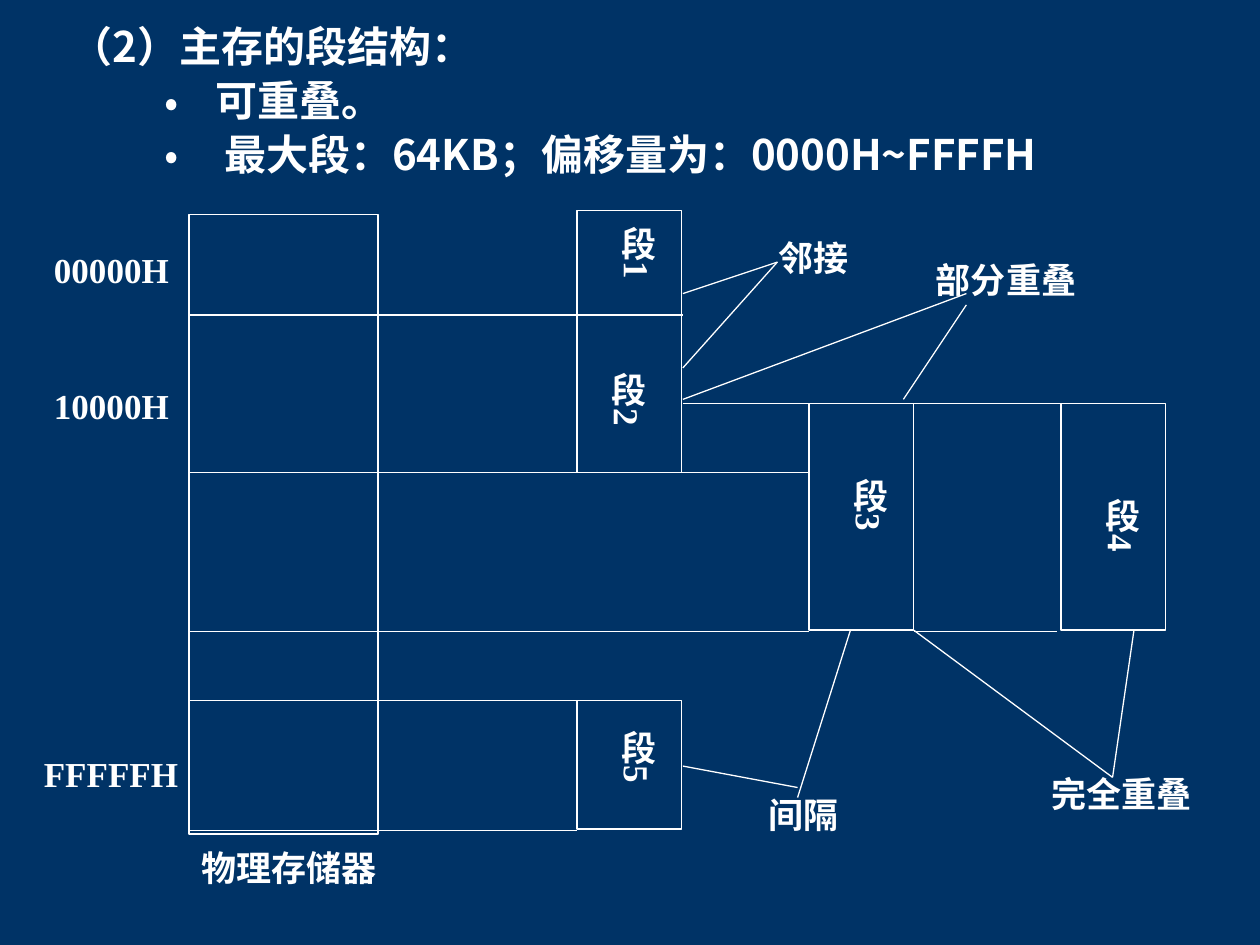
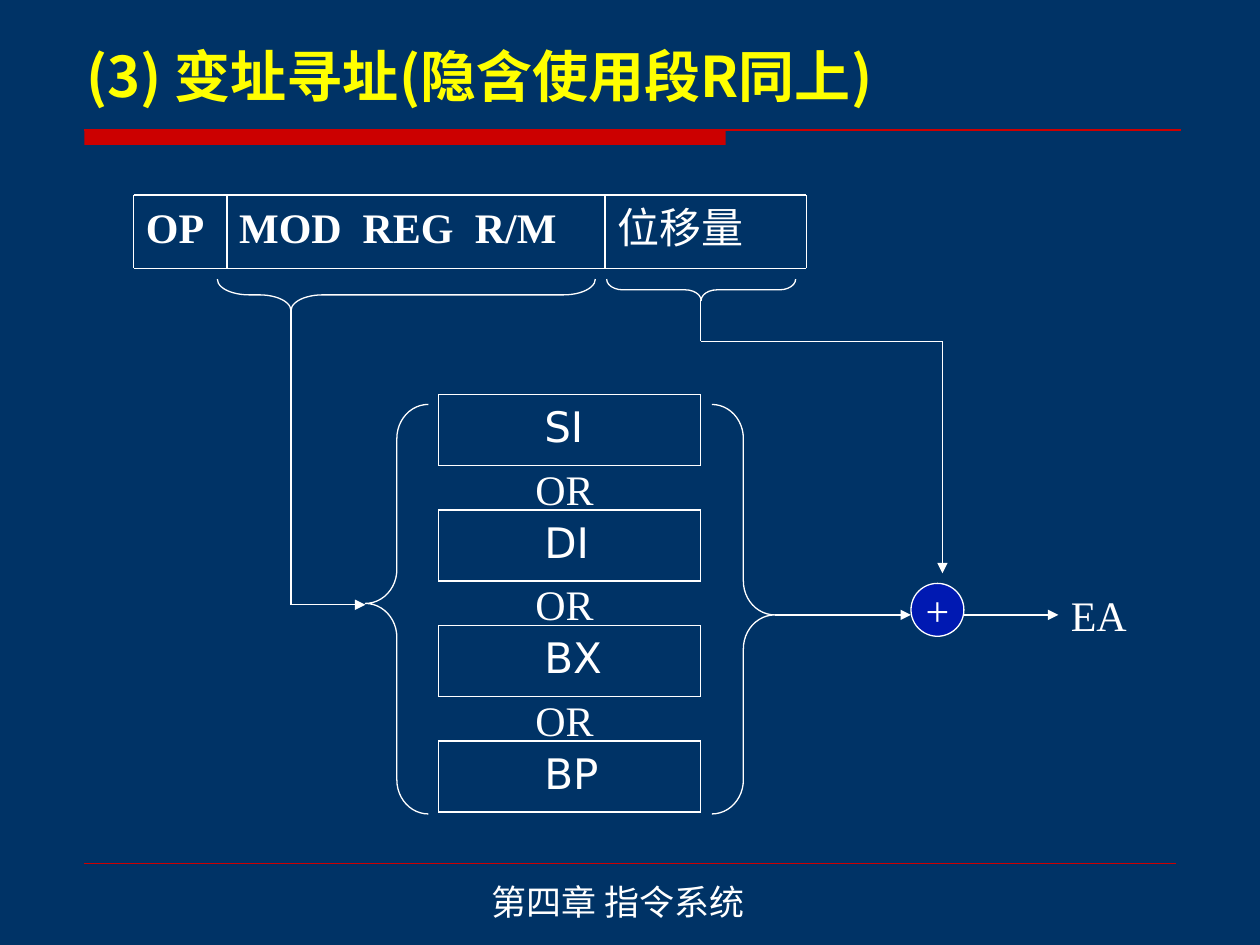
import lxml.etree
import pptx
import pptx.dml.color
import pptx.enum.shapes
import pptx.enum.text
import pptx.oxml.ns
import pptx.util

Inches, Pt = pptx.util.Inches, pptx.util.Pt
SHAPE = pptx.enum.shapes.MSO_SHAPE
ALIGN = pptx.enum.text.PP_ALIGN
ANCHOR = pptx.enum.text.MSO_ANCHOR
qn = pptx.oxml.ns.qn
colour = pptx.dml.color.RGBColor.from_string

NAVY, WHITE, YELLOW, RED, BLUE = "003366", "FFFFFF", "FFFF00", "CC0000", "0000FF"
SANS, SERIF, LATIN_SANS = "Noto Sans CJK JP", "Times New Roman", "DejaVu Sans"


def add_box(slide, at, text="", size=20, face=SERIF, bold=False, ink=WHITE, kind=None,
            wrap=True, align=ALIGN.LEFT, anchor=ANCHOR.TOP, inset=0.1):
    """Add a text box, or an unfilled outlined shape if kind is given; one paragraph per line."""
    at = [Inches(length) for length in at]
    if kind is None:
        box = slide.shapes.add_textbox(*at)
    else:
        box = slide.shapes.add_shape(kind, *at)
        box.shadow.inherit = False
        box.fill.background()
        box.line.color.rgb = colour(WHITE)
        box.line.width = Pt(0.75)
    if not text:
        return box
    frame = box.text_frame
    frame.word_wrap = wrap
    frame.vertical_anchor = anchor
    frame.margin_left, frame.margin_right = Inches(inset), Inches(0.1)
    frame.margin_top = frame.margin_bottom = Inches(0.05)
    for number, words in enumerate(text.split("\n")):
        paragraph = frame.add_paragraph() if number else frame.paragraphs[0]
        paragraph.alignment = align
        run = paragraph.add_run()
        run.text = words
        run.font.size = Pt(size)
        run.font.name = face
        run.font.bold = bold
        run.font.color.rgb = colour(ink)
        lxml.etree.SubElement(run.font._element, qn("a:ea"), typeface=SANS)
    return box


def add_line(slide, x1, y1, x2, y2, ink=WHITE, weight=0.75, arrow=False):
    line = slide.shapes.add_connector(
        pptx.enum.shapes.MSO_CONNECTOR.STRAIGHT,
        Inches(x1), Inches(y1), Inches(x2), Inches(y2))
    line.line.color.rgb = colour(ink)
    line.line.width = Pt(weight)
    if arrow:
        lxml.etree.SubElement(line.line._get_or_add_ln(), qn("a:tailEnd"), type="triangle")
    lxml.etree.SubElement(line._element.spPr, qn("a:effectLst"))


prs = pptx.Presentation()
prs.slide_width, prs.slide_height = Inches(10), Inches(7.5)
backdrop = prs.slide_master.background.fill
backdrop.solid()
backdrop.fore_color.rgb = colour(NAVY)
blank = prs.slide_layouts[6]

# Slide 1: segments of main memory
memory = prs.slides.add_slide(blank)
heading = add_box(
    memory, (-0.04, 0.21, 9.21, 1.25),
    "（2）主存的段结构：\n可重叠。\n最大段：64KB；偏移量为：0000H~FFFFH",
    size=24, face=SANS, bold=True)
bullet_left = 1.25
for number, (paragraph, left) in enumerate(zip(heading.text_frame.paragraphs, (0.5, 1.65, 1.72))):
    paragraph.line_spacing = 0.75
    properties = paragraph._p.get_or_add_pPr()
    properties.set("marL", str(Inches(left)))
    if number:
        paragraph.space_before = Pt(9)
        properties.set("indent", str(Inches(bullet_left - left)))
        lxml.etree.SubElement(properties, qn("a:buFont"), typeface=SANS)
        lxml.etree.SubElement(properties, qn("a:buChar"), char="•")

add_box(memory, (1.5, 1.7, 1.5, 4.92), kind=SHAPE.RECTANGLE)
for segment_frame in ((4.58, 1.67, 0.83, 2.08), (6.42, 3.2, 0.83, 1.8),
                      (8.42, 3.2, 0.83, 1.8), (4.58, 5.56, 0.83, 1.02)):
    add_box(memory, segment_frame, kind=SHAPE.RECTANGLE)

for y, start, end in ((2.5, 1.5, 5.42), (3.75, 1.5, 4.58), (5.56, 1.5, 4.58),
                      (6.59, 1.5, 4.58), (5.01, 1.5, 6.42), (5.01, 7.25, 8.39),
                      (3.2, 7.2, 8.42), (3.2, 5.42, 6.42), (3.75, 5.39, 6.42)):
    add_line(memory, start, y, end, y)

for label, left, top, width in (
        ("00000H", 0.33, 1.92, 1.28), ("10000H", 0.33, 3, 1.17), ("FFFFFH", 0.25, 5.92, 1.36),
        ("物理存储器", 1.5, 6.67, 1.67), ("邻接", 6.08, 1.83, 0.83), ("部分重叠", 7.33, 2, 1.33),
        ("间隔", 6, 6.25, 0.83), ("完全重叠", 8.25, 6.08, 1.33)):
    add_box(memory, (left, top, width, 0.44), label, bold=True)

for pointer in ((6.17, 2.08, 5.42, 2.33), (6.17, 2.08, 5.42, 2.92),
                (7.67, 2.33, 5.42, 3.17), (7.67, 2.42, 7.17, 3.17),
                (6.75, 5, 6.33, 6.33), (6.33, 6.25, 5.42, 6.08),
                (7.25, 5, 8.83, 6.17), (8.83, 6.17, 9, 5)):
    add_line(memory, *pointer)

segment_places = ((4.75, 1.67), (4.67, 2.83), (6.59, 3.67), (8.59, 3.83), (4.75, 5.67))
for number, (left, top) in enumerate(segment_places, start=1):
    segment = add_box(memory, (left, top, 0.53, 0.75), f"段{number}", bold=True).text_frame
    segment.margin_left = segment.margin_right = Inches(0.05)
    segment.margin_top, segment.margin_bottom = Inches(0.13), Inches(0.07)
    segment._txBody.bodyPr.set("vert", "eaVert")

# Slide 2: indexed addressing
indexed = prs.slides.add_slide(blank)
title_band = add_box(indexed, (0.67, 1.03, 5.09, 0.12), kind=SHAPE.RECTANGLE)
title_band.fill.solid()
title_band.fill.fore_color.rgb = colour(RED)
title_band.line.fill.background()
add_line(indexed, 0.67, 1.03, 9.37, 1.03, ink=RED, weight=1.25)
add_line(indexed, 0.67, 6.85, 9.33, 6.85, ink=RED, weight=0.25)
add_box(indexed, (3.77, 6.94, 2.27, 0.44), "第四章 指令系统", face=SANS,
        wrap=False, align=ALIGN.CENTER)
add_box(indexed, (0.59, 0.28, 8.67, 0.75), "(3) 变址寻址(隐含使用段R同上)",
        size=32, face=SANS, bold=True, ink=YELLOW)

# Instruction fields
row_top, row_bottom = 1.55, 2.13
field_edges = (1.06, 1.8, 4.8, 6.4)
for field, left, right, face in zip(("OP", "MOD\tREG\tR/M", "位移量"), field_edges,
                                    field_edges[1:], (SERIF, SERIF, LATIN_SANS)):
    cell = add_box(indexed, (left, row_top, right - left, row_bottom - row_top), field,
                   size=24, face=face, bold=face == SERIF)
    if "\t" in field:
        properties = cell.text_frame.paragraphs[0]._p.get_or_add_pPr()
        tabs = lxml.etree.SubElement(properties, qn("a:tabLst"))
        for stop in (0.98, 1.87):
            lxml.etree.SubElement(tabs, qn("a:tab"), pos=str(Inches(stop)), algn="l")
for y in (row_top, row_bottom):
    add_line(indexed, field_edges[0], y, field_edges[-1], y, weight=1)
for x in field_edges:
    add_line(indexed, x, row_top, x, row_bottom, weight=1)

# Index registers
register_left, register_right, register_height = 3.48, 5.56, 0.565
register_top, register_pitch = 3.13, 0.917
for number, register in enumerate(("SI", "DI", "BX", "BP")):
    top = register_top + number * register_pitch
    bottom = top + register_height
    if number:
        add_box(indexed, (4.15, top - 0.42, 0.66, 0.5), "OR", size=24, wrap=False)
    add_box(indexed, (register_left, top, register_right - register_left, register_height),
            register, size=24, face=LATIN_SANS, inset=0.84)
    for y in (top, bottom):
        add_line(indexed, register_left, y, register_right, y, weight=1)
    for x in (register_left, register_right):
        add_line(indexed, x, top, x, bottom, weight=1)

# Braces: place, curl, position of the point, rotation
for kind, place, curl, point, turn in (
        (SHAPE.RIGHT_BRACE, (5.65, 3.21, 0.5, 3.25), 0.54, 0.514, 0),
        (SHAPE.LEFT_BRACE, (2.9, 3.21, 0.5, 3.25), 0.54, 0.486, 0),
        (SHAPE.LEFT_BRACE, (3.1, 0.84, 0.25, 3), 1, 0.195, 270),
        (SHAPE.LEFT_BRACE, (5.48, 1.55, 0.17, 1.5), 0.75, 0.5, 270)):
    brace = add_box(indexed, place, kind=kind)
    brace.adjustments[0], brace.adjustments[1] = curl, point
    brace.rotation = turn

# Adder and the paths that lead to the effective address
adder = add_box(indexed, (7.23, 4.63, 0.42, 0.42), "+", size=24, kind=SHAPE.OVAL,
                wrap=False, align=ALIGN.CENTER, anchor=ANCHOR.MIDDLE)
adder.fill.solid()
adder.fill.fore_color.rgb = colour(BLUE)
adder_blue = adder._element.spPr.find(qn("a:solidFill")).find(qn("a:srgbClr"))
lxml.etree.SubElement(adder_blue, qn("a:alpha"), val="50000")

for route in (((2.31, 2.46), (2.31, 4.8), (2.9, 4.8)),
              ((5.56, 2.38), (5.56, 2.71), (7.48, 2.71), (7.48, 4.55)),
              ((6.15, 4.88), (7.23, 4.88)),
              ((7.65, 4.88), (8.4, 4.88))):
    for start, end in zip(route, route[1:]):
        add_line(indexed, *start, *end, arrow=end == route[-1])
add_box(indexed, (8.4, 4.63, 0.75, 0.5), "EA", size=24)

prs.save("out.pptx")
